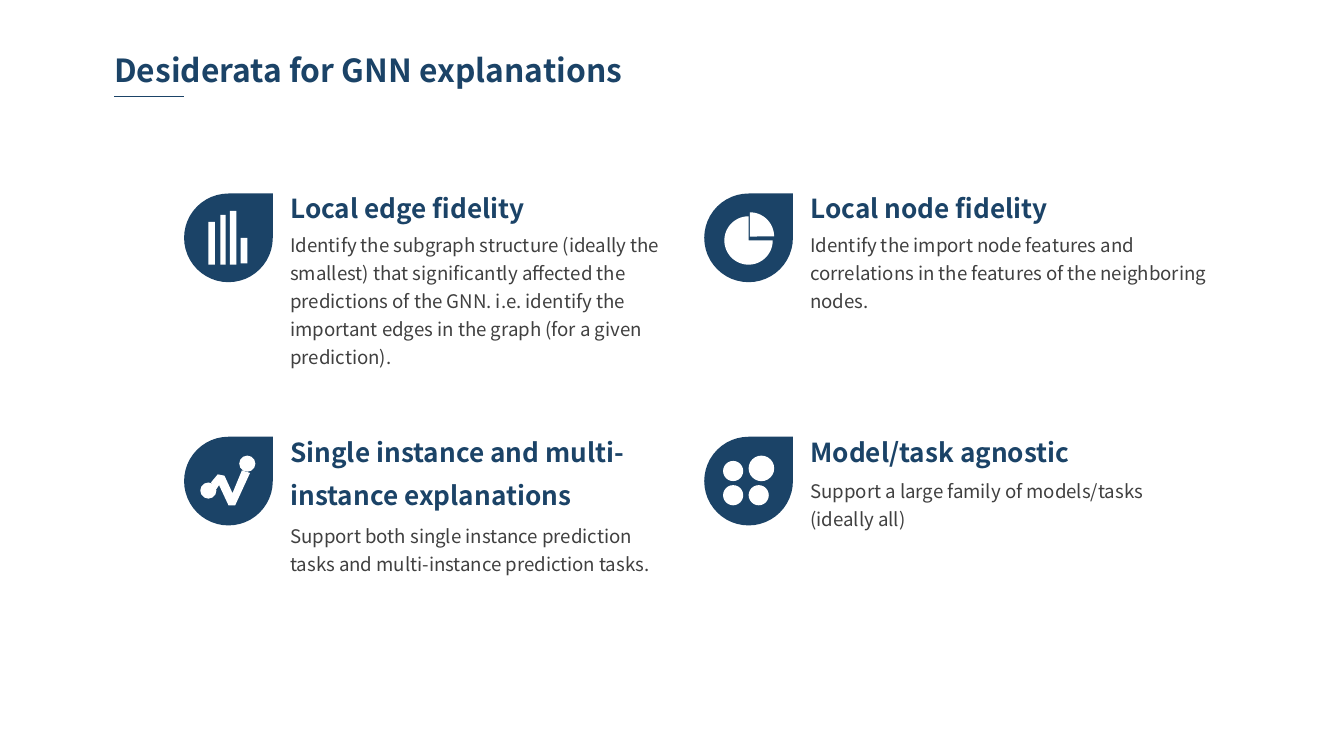
import math
from pptx import Presentation
from pptx.dml.color import RGBColor
from pptx.enum import shapes as kinds
from pptx.oxml import parse_xml
from pptx.oxml.ns import nsdecls
from pptx.util import Inches, Pt

FONT, NAVY, GREY, WHITE = "Noto Sans CJK SC", "1B4367", "404040", "FFFFFF"
SHAPE = kinds.MSO_SHAPE


def sector(x, y, radius, start, end):
    """Points of a circle sector, angles in degrees clockwise from the right."""
    angles = [math.radians(a) for a in range(start, end + 1, 5)]
    return [(x, y)] + [(x + radius * math.cos(a), y + radius * math.sin(a))
                       for a in angles]


# Content: icon marks are measured from the top left of their drop
TITLE = "Desiderata for GNN explanations"
BARS = {"bars": [(0.18, 0.21, 0.05, 0.32), (0.27, 0.16, 0.04, 0.37),
                 (0.34, 0.13, 0.05, 0.4), (0.42, 0.33, 0.05, 0.19)]}
PIE = {"outlines": [sector(0.33, 0.35, 0.18, 0, 270),
                    sector(0.34, 0.32, 0.18, 270, 360)]}
TREND = {"dots": [(0.41, 0.14, 0.12), (0.12, 0.34, 0.12)],
         "outlines": [[(0.43, 0.25), (0.36, 0.42), (0.3, 0.29), (0.25, 0.28),
                       (0.2, 0.34), (0.24, 0.39), (0.26, 0.36), (0.33, 0.51),
                       (0.38, 0.51), (0.49, 0.27)]]}
DOTS = {"dots": [(0.14, 0.18, 0.15), (0.33, 0.14, 0.19),
                 (0.14, 0.36, 0.15), (0.33, 0.36, 0.15)]}

# heading, description, icon, heading width, text width, gap to description
DESIDERATA = [
    ("Local edge fidelity",
     "Identify the subgraph structure (ideally the smallest) that "
     "significantly affected the predictions of the GNN. i.e. identify the "
     "important edges in the graph (for a given prediction).",
     BARS, 2.18, 2.97, 0.36),
    ("Local node fidelity",
     "Identify the import node features and correlations in the features of "
     "the neighboring nodes.",
     PIE, 2.18, 3.16, 0.36),
    ("Single instance and multi-instance explanations",
     "Support both single instance prediction tasks and multi-instance "
     "prediction tasks.",
     TREND, 2.97, 2.97, 0.71),
    ("Model/task agnostic",
     "Support a large family of models/tasks (ideally all)",
     DOTS, 2.36, 2.9, 0.38),
]
LEFT, TOP, COLUMN, ROW, DROP = 1.37, 1.44, 3.87, 1.81, 0.66

prs = Presentation()
prs.slide_width = Inches(10)
prs.slide_height = Inches(10 * 9 / 16)
slide = prs.slides.add_slide(prs.slide_layouts[6])


def paint(shape, color):
    shape.shadow.inherit = False
    shape.fill.solid()
    shape.fill.fore_color.rgb = RGBColor.from_string(color)
    shape.line.fill.background()


def add_solid(kind, x, y, w, h, color):
    paint(slide.shapes.add_shape(kind, *map(Inches, (x, y, w, h))), color)


def add_text(words, x, y, w, h, size, color, bold=False, spacing=None, before=0):
    frame = slide.shapes.add_textbox(*map(Inches, (x, y, w, h))).text_frame
    frame.word_wrap = True
    frame.margin_left = frame.margin_right = Inches(0.07)
    frame.margin_top = frame.margin_bottom = Inches(0.04)
    paragraph = frame.paragraphs[0]
    paragraph.line_spacing = spacing
    paragraph.space_before = Pt(before)
    run = paragraph.add_run()
    run.text = words
    run.font.name, run.font.size, run.font.bold = FONT, Pt(size), bold
    run.font.color.rgb = RGBColor.from_string(color)


def add_icon(x, y, marks):
    add_solid(SHAPE.TEAR, x, y, DROP, DROP, NAVY)
    for dx, dy, w, h in marks.get("bars", []):
        add_solid(SHAPE.RECTANGLE, x + dx, y + dy, w, h, WHITE)
    for dx, dy, size in marks.get("dots", []):
        add_solid(SHAPE.OVAL, x + dx, y + dy, size, size, WHITE)
    for outline in marks.get("outlines", []):
        points = [(Inches(x + dx), Inches(y + dy)) for dx, dy in outline]
        builder = slide.shapes.build_freeform(*points[0])
        builder.add_line_segments(points[1:], close=True)
        paint(builder.convert_to_shape(), WHITE)


# Title and its short rule
add_text(TITLE, 0.78, 0.34, 4.4, 0.36, 17, NAVY, bold=True)
rule = slide.shapes.add_connector(
    kinds.MSO_CONNECTOR.STRAIGHT, *map(Inches, (0.85, 0.72, 1.37, 0.72)))
rule.line.color.rgb = RGBColor.from_string(NAVY)
rule.line.width = Pt(0.75)
rule._element.spPr.append(parse_xml(f"<a:effectLst {nsdecls('a')}/>"))

# Two by two grid of desiderata
for i, (heading, description, icon, head_w, text_w, gap) in enumerate(DESIDERATA):
    row, column = divmod(i, 2)
    x, y = LEFT + column * COLUMN, TOP + row * ROW
    text_x, head_y = x + 0.72, y - 0.14
    add_icon(x, y, icon)
    add_text(heading, text_x, head_y, head_w, 0.31, 14, NAVY, True, 1.4, 2.8)
    add_text(description, text_x, head_y + gap, text_w, 0.99, 10, GREY,
             spacing=Pt(15), before=2)

prs.save("out.pptx")
